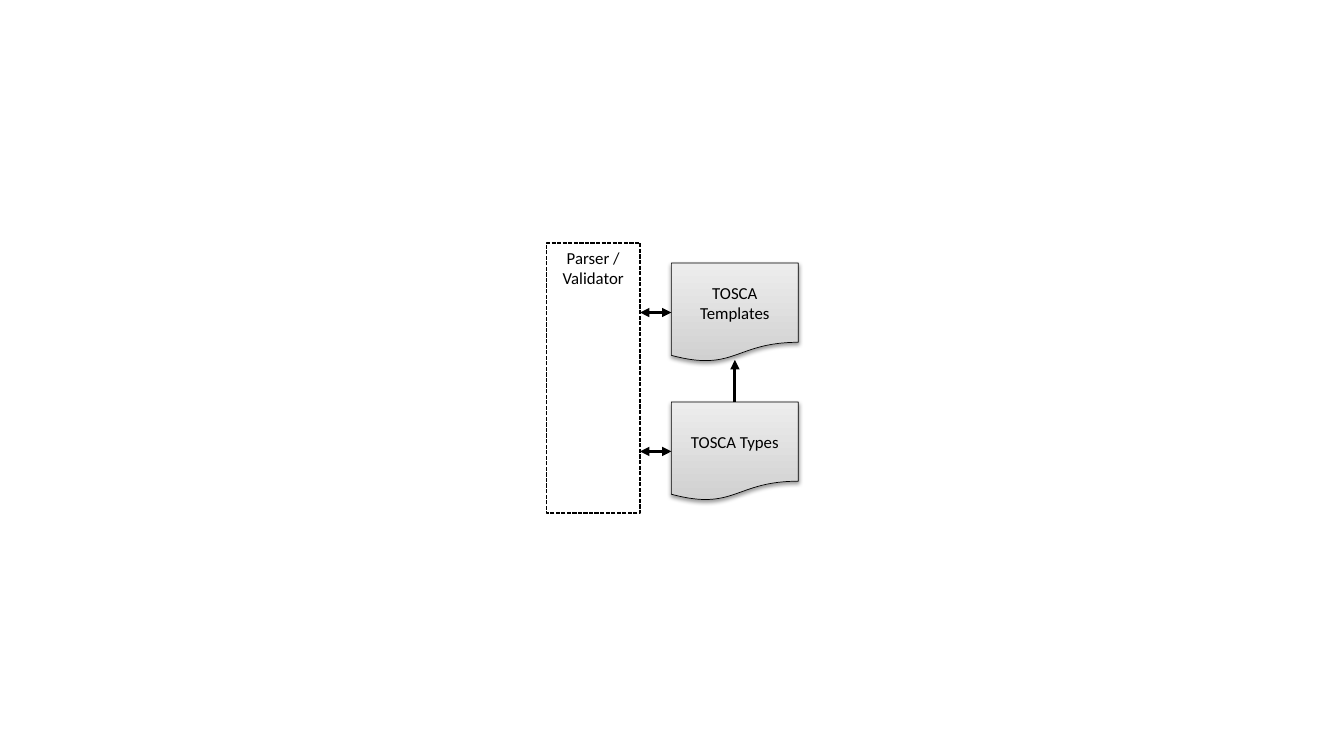
import dataclasses
import typing

import lxml.etree
import pptx
import pptx.dml.color
import pptx.enum.dml
import pptx.enum.shapes
import pptx.enum.text
import pptx.oxml.ns
import pptx.shapes.autoshape
import pptx.shapes.connector
import pptx.slide
import pptx.util

Cm = pptx.util.Cm
Pt = pptx.util.Pt

COLORS = {
    "ink": "000000",
    "paper": "FFFFFF",
    "document_bottom": "D0D0D0",
    "document_top": "EDEDED",
}
FONT_NAME = "Calibri"
FONT_SIZE = 12

VALIDATOR_LEFT, VALIDATOR_TOP = 13.77, 6.12
VALIDATOR_WIDTH, VALIDATOR_HEIGHT = 2.36, 6.81
DOCUMENT_LEFT, DOCUMENT_WIDTH, DOCUMENT_HEIGHT = 16.92, 3.2, 2.49
TYPES_ARROW_TIP = 9.07
TOP_SITE, LEFT_SITE = 0, 1


@dataclasses.dataclass(frozen=True)
class Document:
    text: str
    top: float

    @property
    def middle(self) -> float:
        return self.top + DOCUMENT_HEIGHT / 2


TEMPLATES = Document("TOSCA\nTemplates", 6.63)
TYPES = Document("TOSCA Types", 10.13)


def color(name: str) -> pptx.dml.color.RGBColor:
    return pptx.dml.color.RGBColor.from_string(COLORS[name])


def add_element(parent: typing.Any, tag: str, **attributes: str) -> typing.Any:
    return lxml.etree.SubElement(parent, pptx.oxml.ns.qn(tag), attributes)


def write_text(
    shape: pptx.shapes.autoshape.Shape,
    text: str,
    anchor: pptx.enum.text.MSO_ANCHOR,
    vertical_margin: float,
) -> None:
    frame = shape.text_frame
    frame.word_wrap = True
    frame.vertical_anchor = anchor
    frame.margin_left = frame.margin_right = Cm(0)
    frame.margin_top = frame.margin_bottom = Cm(vertical_margin)
    frame.text = text
    for paragraph in frame.paragraphs:
        paragraph.alignment = pptx.enum.text.PP_ALIGN.CENTER
        for run in paragraph.runs:
            run.font.name = FONT_NAME
            run.font.size = Pt(FONT_SIZE)
            run.font.color.rgb = color("ink")


def add_soft_shadow(shape: pptx.shapes.autoshape.Shape) -> None:
    effects = shape.element.spPr.find(pptx.oxml.ns.qn("a:effectLst"))
    shadow = add_element(
        effects, "a:outerShdw", blurRad=str(Pt(3.1)), dist=str(Pt(1.6)),
        dir="5400000", rotWithShape="0",
    )
    shadow_color = add_element(shadow, "a:srgbClr", val=COLORS["ink"])
    add_element(shadow_color, "a:alpha", val="38000")


def add_document(
    slide: pptx.slide.Slide, document: Document
) -> pptx.shapes.autoshape.Shape:
    shape = slide.shapes.add_shape(
        pptx.enum.shapes.MSO_SHAPE.FLOWCHART_DOCUMENT,
        Cm(DOCUMENT_LEFT), Cm(document.top), Cm(DOCUMENT_WIDTH), Cm(DOCUMENT_HEIGHT),
    )
    shape.fill.gradient()
    shape.fill.gradient_angle = 90
    for stop, name in zip(
        shape.fill.gradient_stops, ("document_bottom", "document_top")
    ):
        stop.color.rgb = color(name)
    shape.line.color.rgb = color("ink")
    shape.line.width = Pt(0.5)
    shape.shadow.inherit = False
    add_soft_shadow(shape)
    write_text(shape, document.text, pptx.enum.text.MSO_ANCHOR.MIDDLE, 0)
    return shape


def add_validator(slide: pptx.slide.Slide) -> None:
    shape = slide.shapes.add_shape(
        pptx.enum.shapes.MSO_SHAPE.RECTANGLE,
        Cm(VALIDATOR_LEFT), Cm(VALIDATOR_TOP),
        Cm(VALIDATOR_WIDTH), Cm(VALIDATOR_HEIGHT),
    )
    shape.shadow.inherit = False
    shape.fill.solid()
    shape.fill.fore_color.rgb = color("paper")
    shape.line.color.rgb = color("ink")
    shape.line.width = Pt(1)
    shape.line.dash_style = pptx.enum.dml.MSO_LINE.SQUARE_DOT
    write_text(shape, "Parser / Validator", pptx.enum.text.MSO_ANCHOR.TOP, 0.13)


def add_arrow(
    slide: pptx.slide.Slide,
    start: tuple[float, float],
    end: tuple[float, float],
    arrowheads: tuple[str, ...],
) -> pptx.shapes.connector.Connector:
    connector = slide.shapes.add_connector(
        pptx.enum.shapes.MSO_CONNECTOR.STRAIGHT, *map(Cm, start + end)
    )
    connector.line.color.rgb = color("ink")
    connector.line.width = Pt(2.25)
    for arrowhead in arrowheads:
        add_element(connector.get_or_add_ln(), arrowhead, type="triangle")
    add_element(connector.element.spPr, "a:effectLst")
    return connector


def main() -> None:
    presentation = pptx.Presentation()
    presentation.slide_width = Cm(33.87)
    presentation.slide_height = Cm(19.05)
    slide = presentation.slides.add_slide(presentation.slide_layouts[6])

    templates_shape = add_document(slide, TEMPLATES)
    types_shape = add_document(slide, TYPES)
    add_validator(slide)

    validator_right = VALIDATOR_LEFT + VALIDATOR_WIDTH
    for document, shape in ((TEMPLATES, templates_shape), (TYPES, types_shape)):
        exchange = add_arrow(
            slide,
            (DOCUMENT_LEFT, document.middle),
            (validator_right, document.middle),
            ("a:headEnd", "a:tailEnd"),
        )
        exchange.begin_connect(shape, LEFT_SITE)

    document_center = DOCUMENT_LEFT + DOCUMENT_WIDTH / 2
    types_arrow = add_arrow(
        slide,
        (document_center, TYPES.top),
        (document_center, TYPES_ARROW_TIP),
        ("a:tailEnd",),
    )
    types_arrow.begin_connect(types_shape, TOP_SITE)

    presentation.save("out.pptx")


if __name__ == "__main__":
    main()
